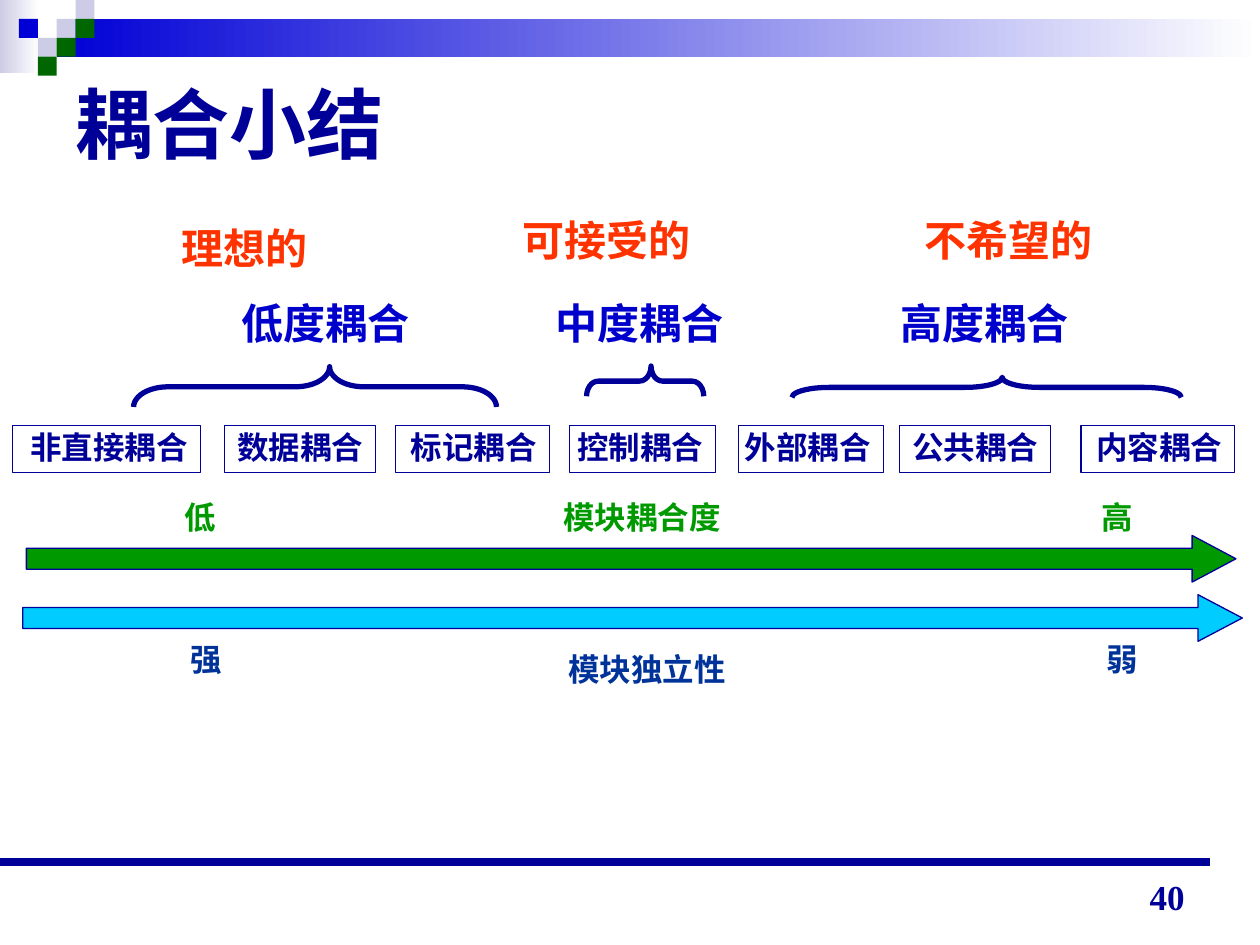
from lxml import etree
from pptx import Presentation
from pptx import util as u
from pptx.dml.color import RGBColor
from pptx.enum import shapes, text
from pptx.oxml.ns import qn

NAVY = RGBColor(0x00, 0x00, 0x99)
BLUE = RGBColor(0x00, 0x00, 0xD6)
LABEL_BLUE = RGBColor(0x00, 0x00, 0xCC)
STEEL = RGBColor(0x00, 0x33, 0x99)
LILAC = RGBColor(0xCC, 0xCC, 0xE6)
DARK_GREEN = RGBColor(0x00, 0x66, 0x00)
GREEN = RGBColor(0x00, 0x99, 0x00)
CYAN = RGBColor(0x00, 0xCC, 0xFF)
RED = RGBColor(0xFF, 0x33, 0x00)
WHITE = RGBColor(0xFF, 0xFF, 0xFF)

SHAPE = shapes.MSO_SHAPE
ANCHOR = text.MSO_ANCHOR
RIGHT = text.PP_ALIGN.RIGHT


class CouplingSlide:
    """Holds the current slide and its text style."""
    serif = "Times New Roman"
    sans = "Cabin"

    def __init__(self, slide):
        self.slide = slide

    def style_text(self, paragraph, size, color, font):
        paragraph.font.size = u.Pt(size)
        paragraph.font.bold = True
        paragraph.font.name = font
        paragraph.font.color.rgb = color

    def title(self, words, *box):
        title = self.slide.shapes.title
        title.left, title.top, title.width, title.height = map(u.Inches, box)
        title.text_frame.text = words
        title.text_frame.vertical_anchor = ANCHOR.MIDDLE
        heading = title.text_frame.paragraphs[0]
        heading.alignment = text.PP_ALIGN.LEFT
        self.style_text(heading, 44, NAVY, self.serif)

    def shape(self, kind, box, fill=None, line=None, weight=0.75, adjust=()):
        shape = self.slide.shapes.add_shape(kind, *map(u.Inches, box))
        shape.shadow.inherit = False
        for index, value in enumerate(adjust):
            shape.adjustments[index] = value
        if fill is None:
            shape.fill.background()
        else:
            shape.fill.solid()
            shape.fill.fore_color.rgb = fill
        if line is None:
            shape.line.fill.background()
        else:
            shape.line.color.rgb = line
            shape.line.width = u.Pt(weight)
        return shape

    def fade(self, box, color):
        band = self.shape(SHAPE.RECTANGLE, box)
        band.fill.gradient()
        band.fill.gradient_angle = 0
        for stop, shade in zip(band.fill.gradient_stops, (color, WHITE)):
            stop.color.rgb = shade

    def put_text(self, holder, words, size, color, font=sans, wrap=False,
                 anchor=ANCHOR.MIDDLE, spacing=0.9):
        frame = holder.text_frame
        frame.word_wrap = wrap
        frame.vertical_anchor = anchor
        frame.text = words
        paragraph = frame.paragraphs[0]
        paragraph.alignment = RIGHT
        paragraph.line_spacing = spacing
        self.style_text(paragraph, size, color, font)
        return paragraph

    def label(self, words, box, size, color, **style):
        holder = self.slide.shapes.add_textbox(*map(u.Inches, box))
        return self.put_text(holder, words, size, color, **style)

    def heading(self, words, box, color):
        paragraph = self.label(words, box, 24, color, wrap=True, anchor=ANCHOR.TOP)
        paragraph.alignment = text.PP_ALIGN.LEFT
        properties = paragraph._p.get_or_add_pPr()
        properties.set("marL", str(u.Inches(1.25)))
        properties.set("indent", str(u.Inches(-0.25)))

    def brace(self, box, curve, tip):
        brace = self.shape(SHAPE.LEFT_BRACE, box, line=NAVY, weight=3, adjust=(curve, tip))
        brace.rotation = 90

    def rule(self, left, right, y):
        rule = self.slide.shapes.add_connector(
            shapes.MSO_CONNECTOR.STRAIGHT, *map(u.Inches, (left, y, right, y)))
        rule.line.color.rgb = NAVY
        rule.line.width = u.Pt(4.5)
        etree.SubElement(rule._element.spPr, qn("a:effectLst"))


def main():
    prs = Presentation()
    prs.slide_width, prs.slide_height = u.Inches(10), u.Inches(7.5)
    page = CouplingSlide(prs.slides.add_slide(prs.slide_layouts[5]))

    # Banner with its checker squares, and the footer rule
    page.fade((0, 0, 0.31, 0.58), LILAC)
    page.fade((0.45, 0.15, 9.55, 0.3), BLUE)
    cell = 0.15
    for column, row, color in ((3, 1, LILAC), (4, 0, LILAC), (4, 1, DARK_GREEN),
                               (2, 2, LILAC), (1, 1, BLUE), (3, 2, DARK_GREEN),
                               (2, 3, DARK_GREEN)):
        page.shape(SHAPE.RECTANGLE, (column * cell, row * cell, cell, cell), color)
    page.rule(0, 9.6, 6.84)

    page.title("耦合小结", 0.5, 0.5, 9, 0.95)

    # Kinds of coupling, from loose to tight
    for kind, left, width in (("非直接耦合", 0.1, 1.49), ("数据耦合", 1.78, 1.2),
                              ("标记耦合", 3.14, 1.22), ("控制耦合", 4.52, 1.16),
                              ("外部耦合", 5.86, 1.15), ("公共耦合", 7.14, 1.2),
                              ("内容耦合", 8.58, 1.22)):
        kind_box = page.shape(SHAPE.RECTANGLE, (left, 3.38, width, 0.37), line=NAVY)
        page.put_text(kind_box, kind, 18, NAVY)

    # Scales of coupling and independence
    for box, color, head in (((0.21, 4.25, 9.6, 0.37), GREEN, 0.94),
                             ((0.18, 4.72, 9.68, 0.37), CYAN, 0.95)):
        page.shape(SHAPE.RIGHT_ARROW, box, color, NAVY, adjust=(0.45, head))
    for mark, left, top, width, color in (
            ("低", 0.53, 3.94, 1.28, GREEN), ("高", 7.81, 3.94, 1.28, GREEN),
            ("强", 0.58, 5.06, 1.28, STEEL), ("弱", 7.85, 5.06, 1.28, STEEL),
            ("模块耦合度", 4.34, 3.94, 1.48, GREEN),
            ("模块独立性", 4.38, 5.14, 1.48, STEEL)):
        page.label(mark, (left, top, width, 0.37), 18, color)

    # Degrees of coupling, each with its brace
    for degree, left, brace_box, curve, tip in (
            ("低度耦合", 0.82, (2.34, 1.63, 0.32, 2.88), 0.85, 0.46),
            ("中度耦合", 3.31, (5, 2.56, 0.24, 0.93), 0.38, 0.45),
            ("高度耦合", 6.05, (7.75, 1.53, 0.16, 3.09), 1.85, 0.46)):
        page.brace(brace_box, curve, tip)
        page.heading(degree, (left, 2.36, 2.64, 0.46), LABEL_BLUE)

    # Verdicts
    for verdict, left, top, width in (("不希望的", 6.24, 1.7, 3.03),
                                      ("可接受的", 3.05, 1.7, 3.03),
                                      ("理想的", 0.34, 1.76, 2.7)):
        page.heading(verdict, (left, top, width, 0.46), RED)

    # Page number
    page.label("40", (7.17, 6.83, 2.33, 0.5), 20, NAVY, font=page.serif,
               wrap=True, anchor=ANCHOR.BOTTOM, spacing=1.0)

    prs.save("out.pptx")


if __name__ == "__main__":
    main()
